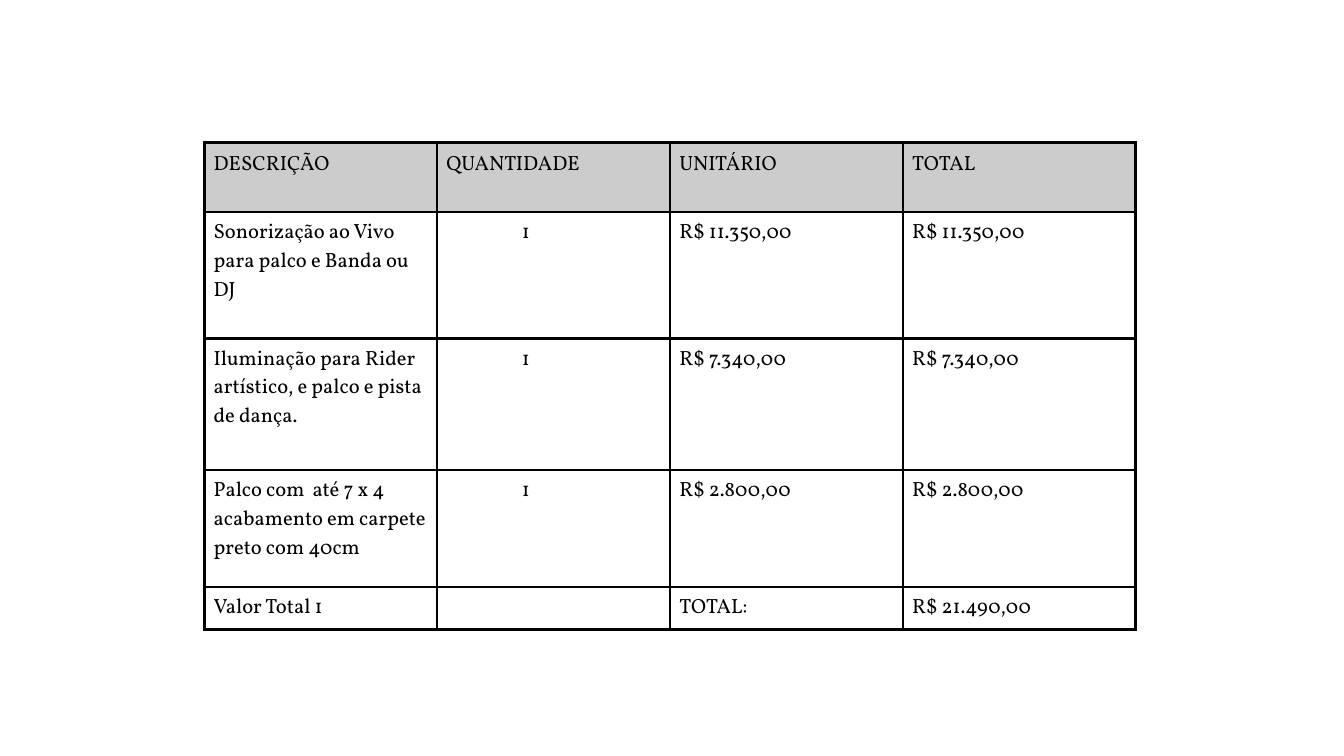
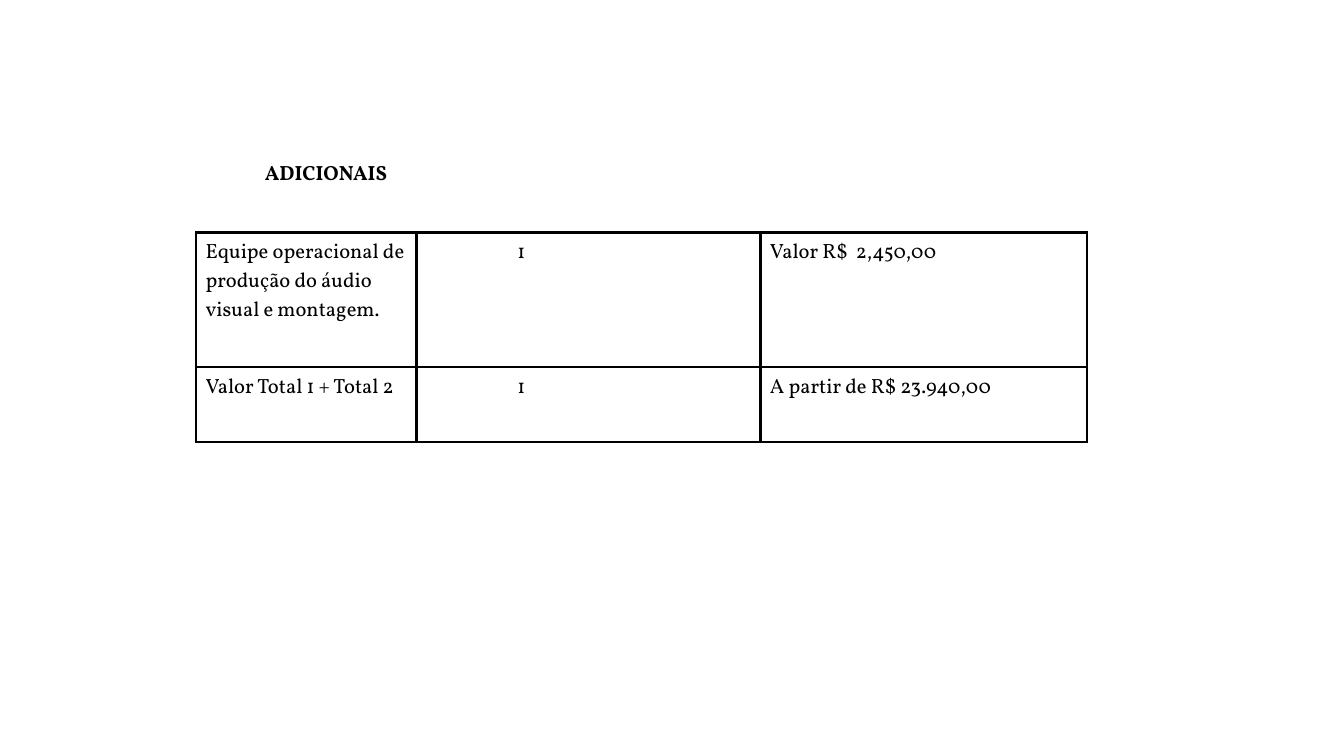
from pptx import Presentation
from pptx.dml.color import RGBColor
from pptx.enum.text import MSO_ANCHOR as Anchor, MSO_AUTO_SIZE as AutoSize, PP_ALIGN as Align
from pptx.oxml import parse_xml
from pptx.oxml.ns import nsdecls
from pptx.util import Inches, Pt

COLORS = {"ink": "000000", "header": "CCCCCC"}
FONT = "Vollkorn"
BORDER = Pt(1.47)


def style_paragraph(para, bold=False, spacing=1.0):
    para.alignment = Align.LEFT
    para.line_spacing = spacing
    para.font.name = FONT
    para.font.size = Pt(11)
    para.font.bold = bold
    para.font.color.rgb = RGBColor.from_string(COLORS["ink"])


def add_price_table(page, left, top, widths, heights, rows, quantity_indent, has_header=False):
    frame = page.shapes.add_table(len(rows), len(widths), Inches(left), Inches(top),
                                  Inches(sum(widths)), Inches(sum(heights)))
    table = frame.table
    table.first_row = has_header
    table.horz_banding = False
    for column, width in zip(table.columns, widths):
        column.width = Inches(width)
    for row, height in zip(table.rows, heights):
        row.height = Inches(height)
    for row_index, texts in enumerate(rows):
        is_header = has_header and row_index == 0
        for column_index, text in enumerate(texts):
            cell = table.cell(row_index, column_index)
            cell.text = text
            cell.margin_left = Inches(quantity_indent if text == "1" else 0.07)
            cell.margin_right = Inches(0.07)
            cell.margin_top = cell.margin_bottom = Inches(0.05)
            para = cell.text_frame.paragraphs[0]
            style_paragraph(para, spacing=1.07 if is_header else 1.0)
            if not text:
                para._p.append(parse_xml(f'<a:endParaRPr {nsdecls("a")} sz="1100"/>'))
            properties = cell._tc.get_or_add_tcPr()
            for side in ("lnL", "lnR", "lnT", "lnB"):
                properties.append(parse_xml(
                    f'<a:{side} {nsdecls("a")} w="{BORDER}"><a:solidFill>'
                    f'<a:srgbClr val="{COLORS["ink"]}"/></a:solidFill></a:{side}>'))
            if is_header:
                cell.fill.solid()
                cell.fill.fore_color.rgb = RGBColor.from_string(COLORS["header"])
            else:
                cell.fill.background()


deck = Presentation()
deck.slide_width = Inches(10)
deck.slide_height = Inches(10 * 9 / 16)
title_only, blank = deck.slide_layouts[5], deck.slide_layouts[6]

budget_page = deck.slides.add_slide(blank)
budget_rows = [
    ("DESCRIÇÃO", "QUANTIDADE", "UNITÁRIO", "TOTAL"),
    ("Sonorização ao Vivo para palco e Banda ou DJ", "1", "R$ 11.350,00", "R$ 11.350,00"),
    ("Iluminação para Rider artístico, e palco e pista de dança.", "1", "R$ 7.340,00", "R$ 7.340,00"),
    ("Palco com  até 7 x 4 acabamento em carpete preto com 40cm", "1", "R$ 2.800,00", "R$ 2.800,00"),
    ("Valor Total 1", "", "TOTAL:", "R$ 21.490,00"),
]
add_price_table(budget_page, 1.52, 1.06, [6.93 / 4] * 4, [0.52, 0.94, 0.98, 0.87, 0.31],
                budget_rows, quantity_indent=0.63, has_header=True)

extras_page = deck.slides.add_slide(title_only)
title = extras_page.shapes.title
title.left, title.top = Inches(1.87), Inches(0.95)
title.width, title.height = Inches(3.28), Inches(0.65)
box = title.text_frame
box.text = "ADICIONAIS"
box.word_wrap = True
box.auto_size = AutoSize.NONE
box.vertical_anchor = Anchor.MIDDLE
box.margin_left = box.margin_right = box.margin_top = box.margin_bottom = Inches(0.1)
style_paragraph(box.paragraphs[0], bold=True, spacing=1.07)

extras_rows = [
    ("Equipe operacional de produção do áudio visual e montagem.", "1", "Valor R$  2,450,00"),
    ("Valor Total 1 + Total 2", "1", "A partir de R$ 23.940,00"),
]
add_price_table(extras_page, 1.46, 1.73, [1.64, 2.56, 2.43], [1, 0.56],
                extras_rows, quantity_indent=0.75)

deck.save("out.pptx")
